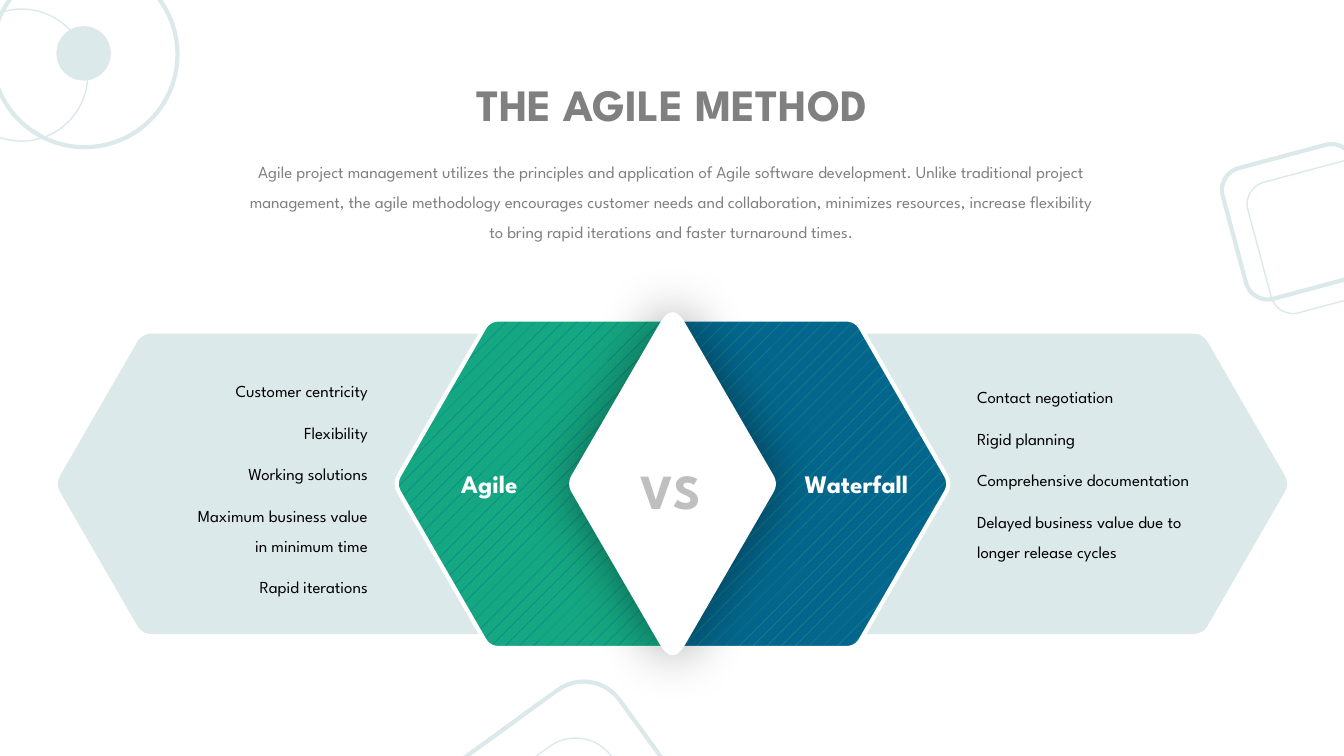
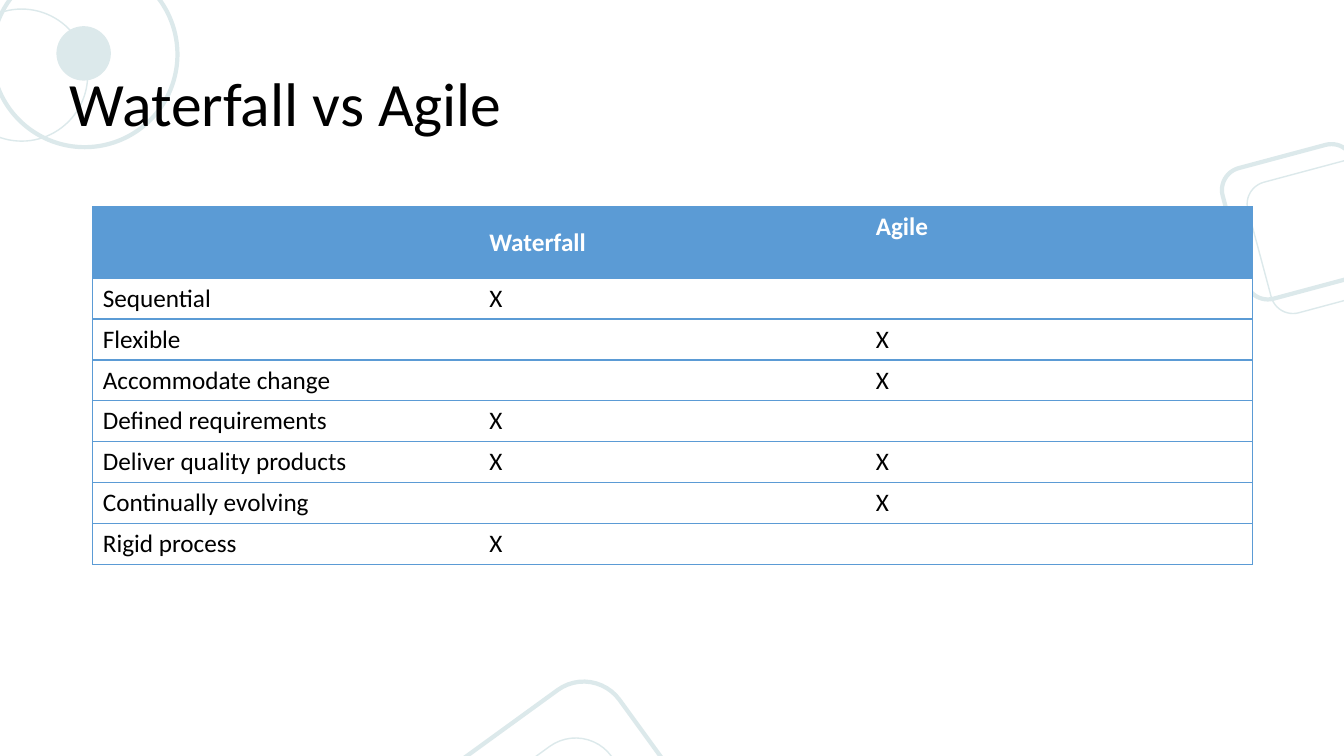
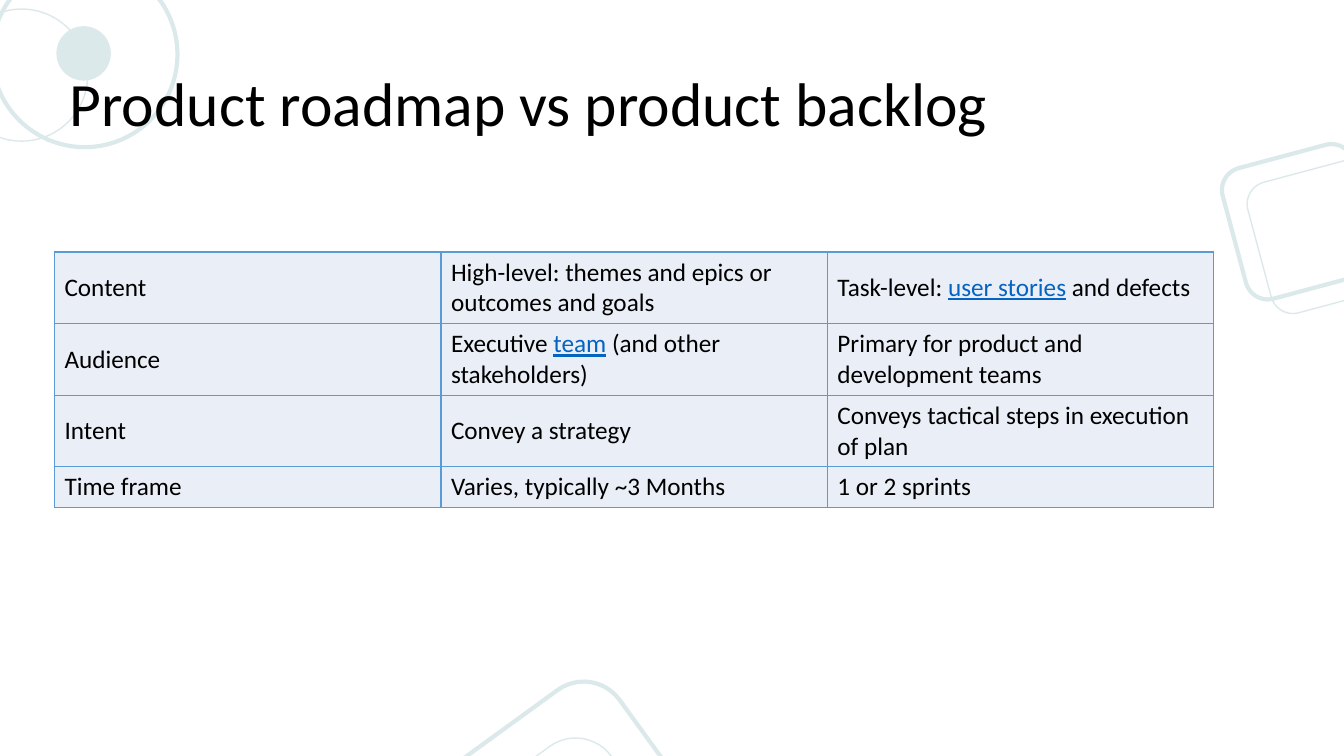
from copy import deepcopy

from lxml.etree import SubElement
from pptx import Presentation
from pptx.dml.color import RGBColor
from pptx.enum.dml import MSO_PATTERN_TYPE as Pattern
from pptx.enum.shapes import MSO_SHAPE as Shape
from pptx.enum.text import MSO_ANCHOR as Anchor, MSO_AUTO_SIZE as AutoSize, PP_ALIGN as Align
from pptx.oxml.ns import qn
from pptx.util import Pt

PX = 9144  # 100 px to the inch
WIDTH, HEIGHT = 1333, 750
CENTER, MIDDLE = 667, 480

MIST = RGBColor(0xDC, 0xE9, 0xEB)
GREEN = RGBColor(0x15, 0xA7, 0x81)
NAVY = RGBColor(0x05, 0x66, 0x8D)
GRAY = RGBColor(0x80, 0x80, 0x80)
SILVER = RGBColor(0xBF, 0xBF, 0xBF)
BLACK = RGBColor(0x00, 0x00, 0x00)
WHITE = RGBColor(0xFF, 0xFF, 0xFF)
BLUE = RGBColor(0x5B, 0x9B, 0xD5)
PALE = RGBColor(0xEA, 0xEF, 0xF7)
LINK = RGBColor(0x05, 0x63, 0xC1)

SPARTAN, CALIBRI = "League Spartan", "Calibri"

# shape, left, top, size, rotation, line width (None: filled)
ORNAMENTS = [
    (Shape.OVAL, -44, 9, 131, 0, 1),
    (Shape.OVAL, 56, 26, 54, 0, None),
    (Shape.OVAL, -8, -38, 184, 0, 3),
    (Shape.ROUNDED_RECTANGLE, 428, 711, 263, 54, 3),
    (Shape.ROUNDED_RECTANGLE, 420, 767, 263, 54, 1),
    (Shape.ROUNDED_RECTANGLE, 1222, 153, 134, 345, 3),
    (Shape.ROUNDED_RECTANGLE, 1247, 167, 134, 345, 1),
]

INTRO = (
    "Agile project management utilizes the principles and application of Agile software "
    "development. Unlike traditional project management, the agile methodology encourages "
    "customer needs and collaboration, minimizes resources, increase flexibility to bring "
    "rapid iterations and faster turnaround times."
)
AGILE_POINTS = [
    "Customer centricity",
    "Flexibility",
    "Working solutions",
    "Maximum business value\nin minimum time",
    "Rapid iterations",
]
WATERFALL_POINTS = [
    "Contact negotiation",
    "Rigid planning",
    "Comprehensive documentation",
    "Delayed business value due to longer release cycles",
]
COMPARISON = [
    ["", "Waterfall", "Agile"],
    ["Sequential", "X", ""],
    ["Flexible", "", "X"],
    ["Accommodate change", "", "X"],
    ["Defined requirements", "X", ""],
    ["Deliver quality products", "X", "X"],
    ["Continually evolving", "", "X"],
    ["Rigid process", "X", ""],
]
ROADMAP_BACKLOG = [
    ["Content", "High-level: themes and epics or outcomes and goals",
     "Task-level: |user stories| and defects"],
    ["Audience", "Executive |team| (and other stakeholders)",
     "Primary for product and development teams"],
    ["Intent", "Convey a strategy", "Conveys tactical steps in execution of plan"],
    ["Time frame", "Varies, typically ~3 Months", "1 or 2 sprints"],
]


def emu(*lengths):
    return [round(length * PX) for length in lengths]


def write(tf, paragraphs, font=SPARTAN, size=12, color=BLACK, bold=False,
          align=Align.LEFT, spacing=1.0, after=0):
    """Fill a text frame; text between bars looks like a link."""
    for n, text in enumerate(paragraphs):
        p = tf.add_paragraph() if n else tf.paragraphs[0]
        pPr = p._p.get_or_add_pPr()
        pPr.set("marL", "0")
        pPr.set("indent", "0")
        SubElement(pPr, qn("a:buNone"))
        p.alignment, p.line_spacing = align, spacing
        p.space_before, p.space_after = Pt(0), Pt(after)
        for row, line in enumerate(text.split("\n")):
            if row:
                p.add_line_break()
            for i, piece in enumerate(line.split("|")):
                r = p.add_run()
                r.text = piece
                r.font.name, r.font.size, r.font.bold = font, Pt(size), bold
                r.font.color.rgb = LINK if i % 2 else color
                r.font.underline = bool(i % 2)
        for br in p._p.findall(qn("a:br")):
            br.insert(0, deepcopy(p.runs[0]._r.rPr))


def place(sp, box, paragraphs, anchor=Anchor.TOP, insets=(0, 0, 0, 0), **fmt):
    """Move a text box or placeholder to the front, set its frame and fill it."""
    sp._element.getparent().append(sp._element)
    sp.left, sp.top, sp.width, sp.height = emu(*box)
    tf = sp.text_frame
    tf.word_wrap, tf.auto_size, tf.vertical_anchor = True, AutoSize.NONE, anchor
    tf.margin_left, tf.margin_top, tf.margin_right, tf.margin_bottom = emu(*insets)
    write(tf, paragraphs, **fmt)


def text_box(s, box, text, **fmt):
    place(s.shapes.add_textbox(*emu(*box)), box, [text], **fmt)


def page_title(s, text):
    place(s.shapes.title, (59, 47, 1215, 118), [text], anchor=Anchor.MIDDLE,
          insets=(10, 5, 10, 5), font=CALIBRI, size=44, spacing=0.9)


def add_ornaments(prs, s):
    """Draw the corner figures and hand them to the slide master."""
    tree = prs.slide_master.shapes._spTree
    for n, (kind, x, y, size, rotation, line) in enumerate(ORNAMENTS):
        sp = s.shapes.add_shape(kind, *emu(x, y, size, size))
        sp.shadow.inherit = False
        sp.rotation = rotation
        if line:
            sp.fill.background()
            sp.line.color.rgb, sp.line.width = MIST, Pt(line)
        else:
            sp.fill.solid()
            sp.fill.fore_color.rgb = MIST
            sp.line.fill.background()
        sp._element.nvSpPr.cNvPr.set("id", str(100 + n))
        tree.append(sp._element)


def toward(a, b, distance):
    """The point at a distance from a on the way to b."""
    dx, dy = b[0] - a[0], b[1] - a[1]
    t = distance / (dx * dx + dy * dy) ** 0.5
    return a[0] + dx * t, a[1] + dy * t


def rounded_polygon(s, corners, fill=None, steps=8):
    """Draw a polygon of (x, y, cut) corners, each rounded over its cut."""
    points = []
    for i, (x, y, cut) in enumerate(corners):
        if not cut:
            points.append((x, y))
            continue
        a = toward((x, y), corners[i - 1], cut)
        b = toward((x, y), corners[(i + 1) % len(corners)], cut)
        for k in range(steps + 1):
            t = k / steps
            points.append(tuple((1 - t) ** 2 * p + 2 * t * (1 - t) * q + t * t * r
                                for p, q, r in zip(a, (x, y), b)))
    builder = s.shapes.build_freeform(*emu(*points[0]))
    builder.add_line_segments([emu(*point) for point in points[1:]], close=True)
    sp = builder.convert_to_shape()
    sp.shadow.inherit = False
    sp.line.fill.background()
    if fill is not None:
        sp.fill.solid()
        sp.fill.fore_color.rgb = fill
    return sp


def arrow_panel(s, side, tip, shoulder, inner, half_height, fill=None):
    """Draw a panel pointing left (-1) or right (1); x is measured from the centre."""
    top, bottom = MIDDLE - half_height, MIDDLE + half_height
    corners = [(tip, MIDDLE, 10), (shoulder, top, 10), (inner, top, 0),
               (inner, bottom, 0), (shoulder, bottom, 10)]
    return rounded_polygon(s, [(CENTER + side * x, y, cut) for x, y, cut in corners], fill)


def striped_banner(s, side, fore, back):
    sp = arrow_panel(s, side, 276, 182, 0, 163)
    sp.fill.patterned()
    sp.fill.pattern = Pattern.PERCENT_5
    sp.fill.fore_color.rgb, sp.fill.back_color.rgb = fore, back
    sp.line.color.rgb, sp.line.width = WHITE, Pt(3)


def add_glow(sp, blur, alpha):
    """Give a shape a soft black shadow on all sides."""
    effects = sp._element.spPr.find(qn("a:effectLst"))
    shadow = SubElement(effects, qn("a:outerShdw"), blurRad=str(Pt(blur)), dist="0",
                        dir="0", algn="ctr", rotWithShape="0")
    color = SubElement(shadow, qn("a:srgbClr"), val=str(BLACK))
    SubElement(color, qn("a:alpha"), val=str(alpha * 1000))


def set_borders(cell, sides):
    """Draw the named sides (of L, R, T, B) and clear the others."""
    tcPr = cell._tc.get_or_add_tcPr()
    for side in "LRTB":
        ln = SubElement(tcPr, qn("a:ln" + side), w=str(Pt(1)))
        if side in sides:
            fill = SubElement(ln, qn("a:solidFill"))
            SubElement(fill, qn("a:srgbClr"), val=str(BLUE))
        else:
            SubElement(ln, qn("a:noFill"))


def add_grid(s, x, y, rows, heights, fill, header=False, inner_columns=False):
    last = len(rows[0]) - 1
    frame = s.shapes.add_table(len(rows), last + 1, *emu(x, y, 1150, sum(heights)))
    table = frame.table
    table.first_row = table.horz_banding = False
    for row, height in zip(table.rows, heights):
        row.height = emu(height)[0]
    for i, texts in enumerate(rows):
        is_header = header and i == 0
        for j, text in enumerate(texts):
            cell = table.cell(i, j)
            left = "L" if inner_columns or j == 0 else ""
            right = "R" if inner_columns or j == last else ""
            set_borders(cell, left + right + "TB")
            cell.fill.solid()
            cell.fill.fore_color.rgb = BLUE if is_header else fill
            cell.vertical_anchor = Anchor.MIDDLE
            write(cell.text_frame, [text], font=CALIBRI, size=18, bold=is_header,
                  color=WHITE if is_header else BLACK)
    return table


def method_slide(s):
    place(s.shapes.title, (426, 80, 481, 50), ["THE AGILE METHOD"], anchor=Anchor.MIDDLE,
          insets=(0, 2, 0, 0), size=32, color=GRAY, bold=True, align=Align.CENTER,
          spacing=0.9, after=5)
    text_box(s, (239, 150, 854, 113), INTRO, color=GRAY, align=Align.CENTER,
             spacing=1.5, after=5)
    for side in (1, -1):
        arrow_panel(s, side, 612, 526, 115, 149, MIST)
    striped_banner(s, -1, NAVY, GREEN)
    striped_banner(s, 1, GREEN, NAVY)
    diamond = rounded_polygon(s, [(CENTER, MIDDLE - 181, 25), (CENTER + 105, MIDDLE, 10),
                                  (CENTER, MIDDLE + 181, 25), (CENTER - 105, MIDDLE, 10)],
                              WHITE)
    add_glow(diamond, 39, 41)
    for box, text, size, color in [((408, 465, 155, 30), "Agile", 18, WHITE),
                                   ((774, 465, 151, 30), "Waterfall", 18, WHITE),
                                   ((602, 456, 127, 59), "VS", 35, SILVER)]:
        text_box(s, box, text, anchor=Anchor.MIDDLE, size=size, color=color, bold=True,
                 align=Align.CENTER)
    place(s.placeholders[1], (102, 368, 263, 223), AGILE_POINTS, align=Align.RIGHT,
          spacing=1.5, after=8)
    place(s.placeholders[2], (969, 374, 228, 212), WATERFALL_POINTS, spacing=1.5, after=8)


def main():
    prs = Presentation()
    prs.slide_width, prs.slide_height = emu(WIDTH, HEIGHT)
    two_lists, title_only = prs.slide_layouts[3], prs.slide_layouts[5]

    s = prs.slides.add_slide(two_lists)
    add_ornaments(prs, s)
    method_slide(s)

    s = prs.slides.add_slide(title_only)
    page_title(s, "Waterfall vs Agile")
    table = add_grid(s, 92, 205, COMPARISON, [71] + [40] * 7, WHITE, header=True)
    table.cell(0, 2).vertical_anchor = Anchor.TOP

    s = prs.slides.add_slide(title_only)
    page_title(s, "Product roadmap vs product backlog")
    add_grid(s, 54, 250, ROADMAP_BACKLOG, [71, 71, 71, 40], PALE, inner_columns=True)

    prs.save("out.pptx")


if __name__ == "__main__":
    main()
